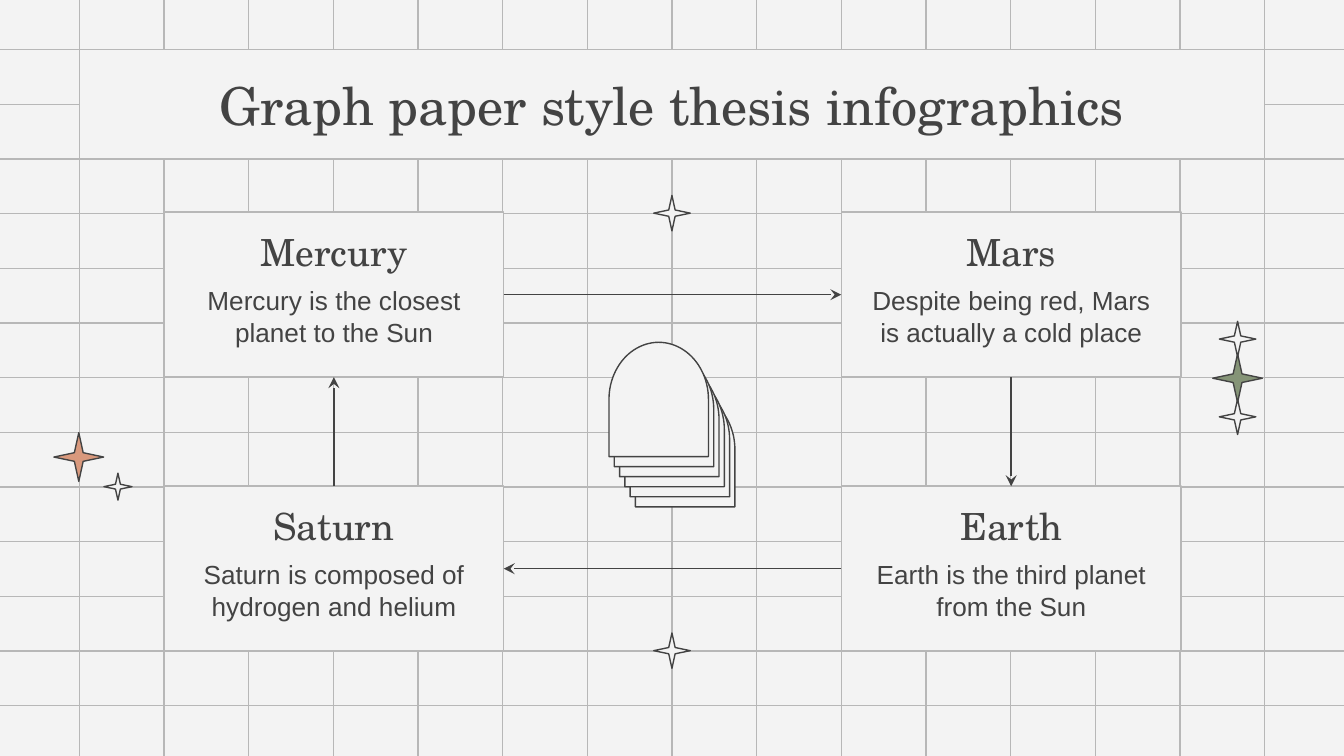
from dataclasses import dataclass

from lxml import etree
from pptx import Presentation
from pptx import util as u
from pptx.dml.color import RGBColor
from pptx.enum import shapes, text
from pptx.oxml.ns import qn
from pptx.util import Cm


@dataclass(frozen=True)
class Theme:
    paper: RGBColor = RGBColor.from_string("F3F3F3")
    grid: RGBColor = RGBColor.from_string("B7B7B7")
    ink: RGBColor = RGBColor.from_string("434343")
    orange: RGBColor = RGBColor.from_string("D9997D")
    green: RGBColor = RGBColor.from_string("859477")
    serif: str = "TeX Gyre Schola"
    sans: str = "Arial"
    title_size: int = 28
    heading_size: int = 20
    body_size: int = 14
    line_width: float = 0.75


theme = Theme()
SHAPE = shapes.MSO_SHAPE
ANCHOR = text.MSO_ANCHOR


def write(box, words, *, size, font, anchor):
    frame = box.text_frame
    frame.word_wrap = True
    frame.vertical_anchor = anchor
    frame.margin_left = frame.margin_right = Cm(0.25)
    frame.margin_top = frame.margin_bottom = Cm(0.25)
    paragraph = frame.paragraphs[0]
    paragraph.alignment = text.PP_ALIGN.CENTER
    run = paragraph.add_run()
    run.text = words
    run.font.size = u.Pt(size)
    run.font.name = font
    run.font.color.rgb = theme.ink


def style(item, line, fill=None):
    """Colour a shape, or a connector when no fill is given, without shadow."""
    item.line.color.rgb = line
    item.line.width = u.Pt(theme.line_width)
    if fill is None:
        etree.SubElement(item.line._get_or_add_ln().getparent(), qn("a:effectLst"))
    else:
        item.shadow.inherit = False
        item.fill.solid()
        item.fill.fore_color.rgb = fill


prs = Presentation()
prs.slide_width, prs.slide_height = Cm(25.4), Cm(14.29)
slide = prs.slides.add_slide(prs.slide_layouts[6])
slide.background.fill.solid()
slide.background.fill.fore_color.rgb = theme.paper

# Graph paper: 15 columns and 13 rows of lines running past the edges
columns = [1.5 + 1.6 * i for i in range(15)]
rows = [0.94 + 12.4 / 12 * i for i in range(13)]
rulings = [(x, -0.08, x, 14.37) for x in columns]
rulings += [(-0.1, y, 25.5, y) for y in rows]
for ends in rulings:
    ruling = slide.shapes.add_connector(
        shapes.MSO_CONNECTOR.STRAIGHT, *[Cm(end) for end in ends])
    style(ruling, theme.grid)

# Title
title = slide.shapes.add_shape(
    SHAPE.RECTANGLE, Cm(columns[0]), Cm(rows[0]), Cm(22.4), Cm(2.07))
style(title, theme.grid, theme.paper)
write(title, "Graph paper style thesis infographics",
      size=theme.title_size, font=theme.serif, anchor=ANCHOR.MIDDLE)

# Planet cards
left, right = columns[1], columns[9]
upper, lower = 4.01, 9.19
planets = [
    ("Mercury", "Mercury is the closest planet to the Sun", left, upper),
    ("Mars", "Despite being red, Mars is actually a cold place", right, upper),
    ("Saturn", "Saturn is composed of hydrogen and helium", left, lower),
    ("Earth", "Earth is the third planet from the Sun", right, lower),
]
cards = {}
for planet, fact, x, y in planets:
    group = slide.shapes.add_group_shape().shapes
    card = group.add_shape(SHAPE.RECTANGLE, Cm(x), Cm(y), Cm(6.42), Cm(3.12))
    style(card, theme.grid, theme.paper)
    heading = group.add_textbox(Cm(x + 0.28), Cm(y + 0.4), Cm(5.87), Cm(1.02))
    write(heading, planet,
          size=theme.heading_size, font=theme.serif, anchor=ANCHOR.BOTTOM)
    body = group.add_textbox(Cm(x + 0.28), Cm(y + 1.12), Cm(5.87), Cm(1.63))
    write(body, fact, size=theme.body_size, font=theme.sans, anchor=ANCHOR.TOP)
    cards[planet] = card

# Arrows around the cycle; sides are 0 top, 1 left, 2 bottom, 3 right
cycle = [
    ("Mercury", 3, "Mars", 1),
    ("Mars", 2, "Earth", 0),
    ("Earth", 1, "Saturn", 3),
    ("Saturn", 0, "Mercury", 2),
]
for source, source_side, target, target_side in cycle:
    arrow = slide.shapes.add_connector(shapes.MSO_CONNECTOR.STRAIGHT, 0, 0, 0, 0)
    arrow.begin_connect(cards[source], source_side)
    arrow.end_connect(cards[target], target_side)
    style(arrow, theme.ink)
    etree.SubElement(arrow.line._get_or_add_ln(), qn("a:tailEnd"), type="stealth")

# Stack of arches, rearmost first
arches = slide.shapes.add_group_shape().shapes
for step in reversed(range(6)):
    arch = arches.add_shape(
        SHAPE.FLOWCHART_DELAY,
        Cm(11.37 + 0.1 * step), Cm(6.61 + 0.19 * step), Cm(2.16), Cm(1.88))
    arch.rotation = 270
    style(arch, theme.ink, theme.paper)

# Stars: centre, width, fill
stars = [
    (1.49, 8.64, 0.94, theme.orange),
    (2.23, 9.2, 0.53, theme.paper),
    (12.7, 4.03, 0.69, theme.paper),
    (23.39, 7.15, 0.94, theme.green),
    (23.39, 7.88, 0.69, theme.paper),
    (23.39, 6.41, 0.69, theme.paper),
    (12.7, 12.3, 0.69, theme.paper),
]
for x, y, width, fill in stars:
    height = width - 0.02
    star = slide.shapes.add_shape(
        SHAPE.STAR_4_POINT,
        Cm(x - width / 2), Cm(y - height / 2), Cm(width), Cm(height))
    star.adjustments[0] = 0.125
    style(star, theme.ink, fill)

prs.save("out.pptx")
